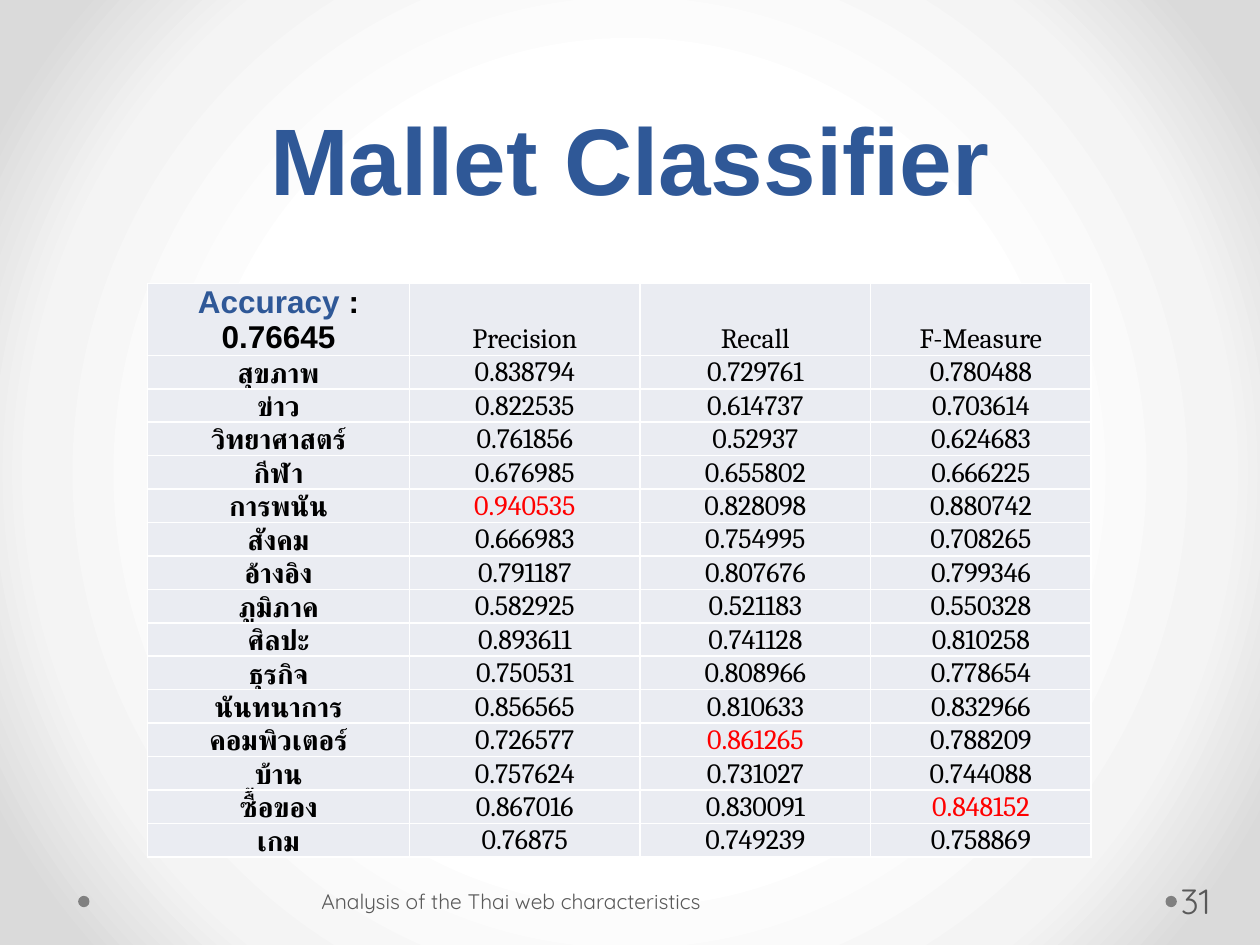
"""Build a slide with a table of classifier scores for Thai web topics."""
from dataclasses import dataclass

from lxml import etree
from pptx import Presentation
from pptx import util as u
from pptx.dml.color import RGBColor
from pptx.enum import shapes, text
from pptx.oxml import parse_xml
from pptx.oxml.ns import nsdecls, qn


@dataclass(frozen=True)
class Theme:
    """Colours, fonts and type sizes of the slide."""
    blue: str = "2F5897"
    black: str = "000000"
    red: str = "FF0000"
    grey: str = "595959"
    dot: str = "808080"
    cell: str = "EAECF2"
    rule: str = "FFFFFF"
    glow: tuple = ((50, "FFFFFF"), (76, "F4F4F4"), (92, "DADADA"))
    head: str = "Arial"
    body: str = "Cambria"
    foot: str = "Quicksand"
    title: int = 54
    lead: int = 18
    base: int = 16
    note: int = 12
    page: int = 20


T = Theme()
WIDE, HIGH = 10, 7.5
COLS = (2.08, 1.83, 1.83, 1.75)
ROW = 0.21
HEADS = ("Precision", "Recall", "F-Measure")
SCORES = (
    ("สุขภาพ", "0.838794", "0.729761", "0.780488"),
    ("ข่าว", "0.822535", "0.614737", "0.703614"),
    ("วิทยาศาสตร์", "0.761856", "0.52937", "0.624683"),
    ("กีฬา", "0.676985", "0.655802", "0.666225"),
    ("การพนัน", "0.940535", "0.828098", "0.880742"),
    ("สังคม", "0.666983", "0.754995", "0.708265"),
    ("อ้างอิง", "0.791187", "0.807676", "0.799346"),
    ("ภูมิภาค", "0.582925", "0.521183", "0.550328"),
    ("ศิลปะ", "0.893611", "0.741128", "0.810258"),
    ("ธุรกิจ", "0.750531", "0.808966", "0.778654"),
    ("นันทนาการ", "0.856565", "0.810633", "0.832966"),
    ("คอมพิวเตอร์", "0.726577", "0.861265", "0.788209"),
    ("บ้าน", "0.757624", "0.731027", "0.744088"),
    ("ซื้อของ", "0.867016", "0.830091", "0.848152"),
    ("เกม", "0.76875", "0.749239", "0.758869"),
)
MARKED = {"0.940535", "0.861265", "0.848152"}


def write(para, words, size=T.base, font=T.body, color=T.black, bold=False):
    """Add a formatted run to a paragraph."""
    run = para.add_run()
    run.text = words
    run.font.size, run.font.name, run.font.bold = u.Pt(size), font, bold
    run.font.color.rgb = RGBColor.from_string(color)


def glow(slide):
    """Fill the background with a radial gradient."""
    stops = "".join(f'<a:gs pos="{at * 1000}"><a:srgbClr val="{tone}"/></a:gs>'
                    for at, tone in T.glow)
    mid = " ".join(f'{side}="50000"' for side in "ltrb")
    slide.background.fill.solid()
    props = slide.background._cSld.bg.bgPr
    props.replace(props[0], parse_xml(
        f'<a:gradFill {nsdecls("a")} rotWithShape="1"><a:gsLst>{stops}</a:gsLst>'
        f'<a:path path="circle"><a:fillToRect {mid}/></a:path></a:gradFill>'))


def dot(slide, left):
    """Draw a small footer dot."""
    mark = slide.shapes.add_shape(shapes.MSO_SHAPE.OVAL, u.Inches(left),
                                  u.Inches(7.11), u.Inches(0.09), u.Inches(0.09))
    mark.shadow.inherit = False
    mark.fill.solid()
    mark.fill.fore_color.rgb = RGBColor.from_string(T.dot)
    mark.line.fill.background()


def title(slide, words):
    """Place and format the title."""
    box = slide.shapes.title
    box.left, box.top = u.Inches(0.05 * WIDE), 0
    box.width, box.height = u.Inches(0.9 * WIDE), u.Inches(1.75)
    box.text_frame.vertical_anchor = text.MSO_ANCHOR.BOTTOM
    para = box.text_frame.paragraphs[0]
    para.alignment, para.line_spacing = text.PP_ALIGN.CENTER, u.Pt(58)
    write(para, words, size=T.title, font=T.head, color=T.blue, bold=True)


def foot(slide, words, left, width, size, pads):
    """Add a footer text with left and right insets."""
    box = slide.shapes.add_textbox(u.Inches(left), u.Inches(6.95),
                                   u.Inches(width), u.Inches(0.4))
    frame = box.text_frame
    frame.word_wrap = True
    frame.vertical_anchor = text.MSO_ANCHOR.MIDDLE
    frame.margin_left, frame.margin_right = map(u.Inches, pads)
    write(frame.paragraphs[0], words, size=size, font=T.foot, color=T.grey)


def style(cell):
    """Set fill, insets and borders of a cell and return its paragraph."""
    cell.vertical_anchor = text.MSO_ANCHOR.BOTTOM
    cell.margin_left = cell.margin_right = cell.margin_top = u.Inches(0.01)
    cell.margin_bottom = 0
    props = cell._tc.get_or_add_tcPr()
    for side in ("lnL", "lnR", "lnT", "lnB"):
        line = etree.SubElement(props, qn(f"a:{side}"), w=str(u.Pt(1)))
        fill = etree.SubElement(line, qn("a:solidFill"))
        etree.SubElement(fill, qn("a:srgbClr"), val=T.rule)
    cell.fill.solid()
    cell.fill.fore_color.rgb = RGBColor.from_string(T.cell)
    para = cell.text_frame.paragraphs[0]
    para.alignment = text.PP_ALIGN.CENTER
    return para


def table(slide):
    """Add the table of scores."""
    rows = (("", *HEADS), *SCORES)
    frame = slide.shapes.add_table(len(rows), len(COLS), u.Inches(1.17),
                                   u.Inches(2.25), u.Inches(7.5), u.Inches(4.47))
    grid = frame.table
    grid.first_row = grid.horz_banding = False
    for col, width in zip(grid.columns, COLS):
        col.width = u.Inches(width)
    for y, row in enumerate(rows):
        grid.rows[y].height = u.Inches(ROW)
        for x, words in enumerate(row):
            para = style(grid.cell(y, x))
            if x:
                write(para, words, color=T.red if words in MARKED else T.black)
            elif y:
                write(para, words, font=T.head, bold=True)
            else:
                write(para, "Accuracy ", T.lead, T.head, T.blue, True)
                write(para, ": 0.76645", T.lead, T.head, T.black, True)
    frame.height = u.Inches(4.47)


def main():
    """Build and save the slide."""
    deck = Presentation()
    deck.slide_width, deck.slide_height = u.Inches(WIDE), u.Inches(HIGH)
    slide = deck.slides.add_slide(deck.slide_layouts[5])
    glow(slide)
    for left in (9.25, 0.62):
        dot(slide, left)
    title(slide, "Mallet Classifier")
    table(slide)
    foot(slide, "31", 9.34, 0.61, T.page, (0.03, 0.05))
    foot(slide, "Analysis of the Thai web characteristics", 2.5, 5.17, T.note,
         (0.05, 0.1))
    deck.save("out.pptx")


main()
